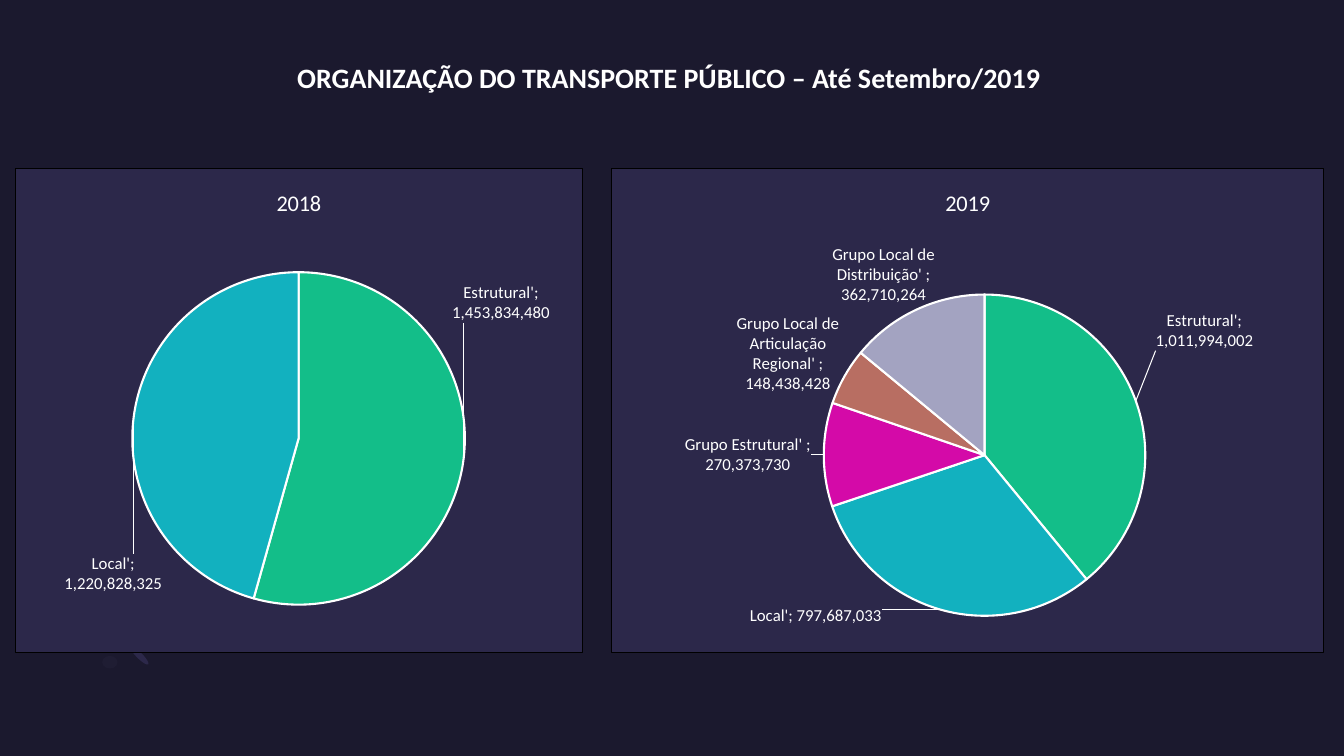
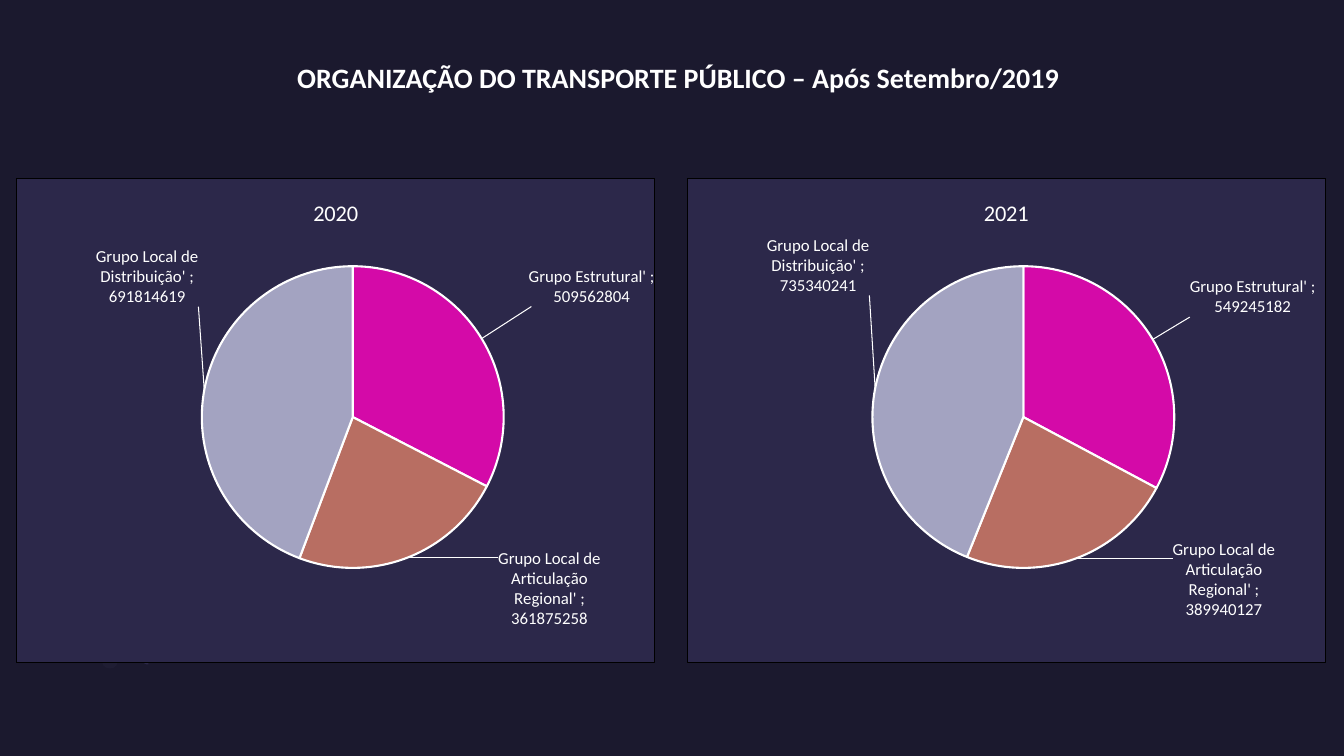
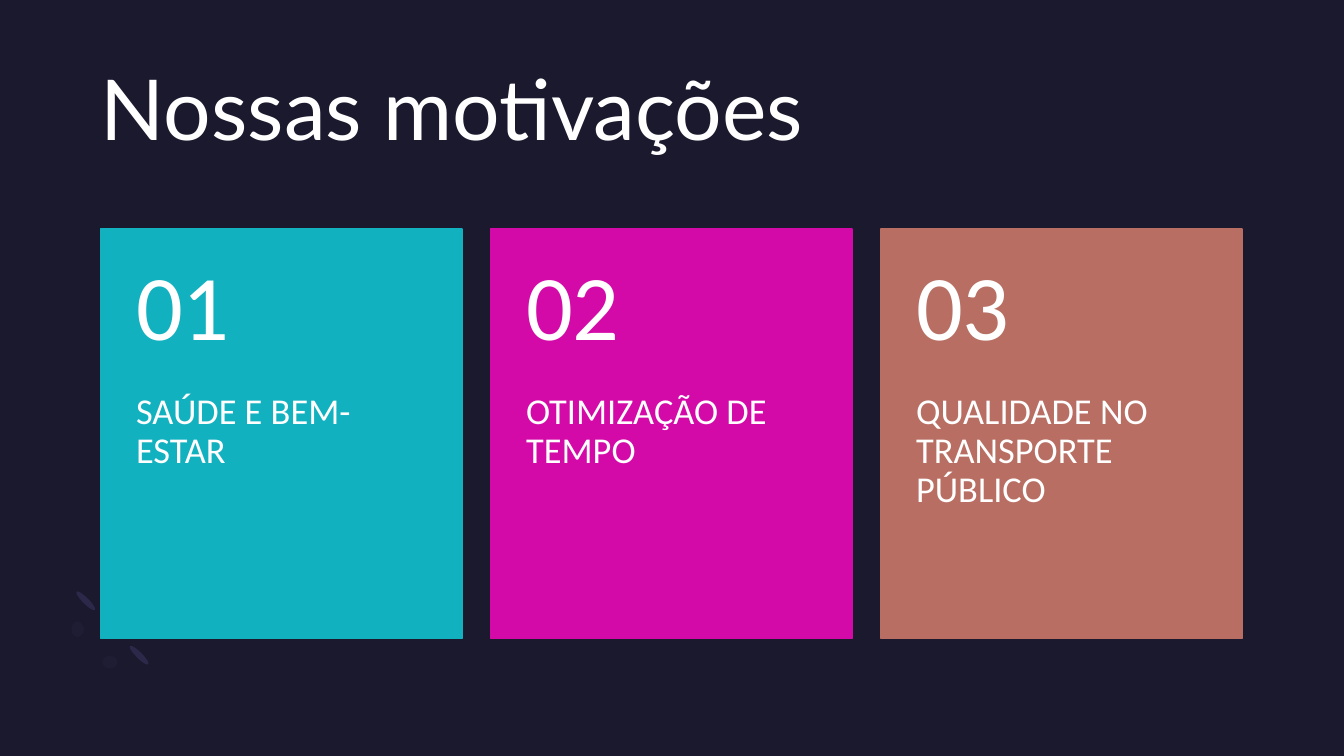
"""Builds three slides on public transport: four yearly pies and three motivation cards."""
from copy import deepcopy

from pptx import Presentation
from pptx.chart.data import CategoryChartData
from pptx.dml.color import RGBColor
from pptx.enum.chart import XL_CHART_TYPE as CT, XL_LABEL_POSITION as LP
from pptx.enum.shapes import MSO_SHAPE as MS
from pptx.enum.text import MSO_ANCHOR as MA
from pptx.oxml import parse_xml
from pptx.oxml.ns import nsdecls, qn
from pptx.util import Pt

NIGHT = RGBColor(0x1B, 0x19, 0x2E)
PANEL = RGBColor(0x2C, 0x28, 0x4A)
HAZE = RGBColor(0x1F, 0x1D, 0x33)
WHITE = RGBColor(0xFF, 0xFF, 0xFF)
GREEN = RGBColor(0x13, 0xBE, 0x89)
TEAL = RGBColor(0x12, 0xB1, 0xBF)
PINK = RGBColor(0xD4, 0x0A, 0xA8)
CLAY = RGBColor(0xB8, 0x6E, 0x62)
LILAC = RGBColor(0xA3, 0xA3, 0xC1)
BODY, DISPLAY = "Calibri", "Lato"

GROUPS = [
    ("Estrutural'", GREEN),
    ("Local'", TEAL),
    ("Grupo Estrutural' ", PINK),
    ("Grupo Local de Articulação Regional' ", CLAY),
    ("Grupo Local de Distribuição' ", LILAC),
]
PIE_SLIDES = [
    ("ORGANIZAÇÃO DO TRANSPORTE PÚBLICO – Até Setembro/2019", 549.4, "#,##0", [
        dict(year="2018", box=(10.8, 120.24, 405.36, 346.32), pie=(202.5, 193, 119),
             values=(1453834480, 1220828325, None, None, None),
             shifts={0: (-0.03, -0.37), 1: (0.06, 0.37)}),
        dict(year="2019", box=(436.32, 120.24, 509.76, 346.32), pie=(267, 205, 115),
             values=(1011994002, 797687033, 270373730, 148438428, 362710264),
             shifts={0: (0.02, -0.1), 1: (-0.08, -0.02), 2: (-0.01, 0)}),
    ]),
    ("ORGANIZAÇÃO DO TRANSPORTE PÚBLICO – Após Setembro/2019", 563, "General", [
        dict(year="2020", box=(11.52, 127.44, 456.48, 346.32), pie=(240.5, 170.5, 108),
             values=(None, None, 509562804, 361875258, 691814619),
             shifts={2: (0.07, -0.06), 3: (0.14, -0.03), 4: (0, -0.17)}),
        dict(year="2021", box=(490.5, 127.44, 456.48, 346.32), pie=(240.5, 170.5, 108),
             values=(None, None, 549245182, 389940127, 735340241),
             shifts={2: (0.05, -0.04), 3: (0.15, -0.05), 4: (0, -0.19)}),
    ]),
]
CARDS_TITLE = "Nossas motivações"
CARDS = [
    ("SAÚDE E BEM-ESTAR", TEAL),
    ("OTIMIZAÇÃO DE TEMPO", PINK),
    ("QUALIDADE NO TRANSPORTE PÚBLICO", CLAY),
]
CARD_LEFT, CARD_TOP, CARD_W, CARD_H, CARD_GAP = 72, 163.44, 258, 292.5, 20.6
NUMBER_H = 117
MARKS = [
    (97.2, 458.64, 4.32, 18.72, 135, PANEL),
    (59.04, 419.76, 4.32, 18.72, 135, PANEL),
    (51, 444, 9, 11, 0, HAZE),
    (73, 468.5, 11, 9, 0, HAZE),
]


def add_block(s, preset, box, color):
    sp = s.shapes.add_shape(preset, *map(Pt, box))
    sp.shadow.inherit = False
    sp.fill.solid()
    sp.fill.fore_color.rgb = color
    sp.line.fill.background()
    return sp


def add_text(s, box, text, size, name=BODY, bold=False, wrap=True,
             insets=(0, 0, 0, 0), anchor=MA.TOP, spacing=0.9):
    tf = s.shapes.add_textbox(*map(Pt, box)).text_frame
    tf.word_wrap = wrap
    tf.vertical_anchor = anchor
    tf.margin_left, tf.margin_top, tf.margin_right, tf.margin_bottom = map(Pt, insets)
    p = tf.paragraphs[0]
    p.text = text
    p.line_spacing = spacing
    set_font(p.font, size, name, bold)


def set_font(font, size, name=BODY, bold=False):
    font.size, font.name, font.bold = Pt(size), name, bold
    font.color.rgb = WHITE


def new_slide(prs):
    s = prs.slides.add_slide(prs.slide_layouts[6])
    for *box, angle, color in MARKS:
        add_block(s, MS.OVAL, box, color).rotation = angle
    return s


def outline(tag, fill, line, width):
    fill_xml = f'<a:solidFill><a:srgbClr val="{fill}"/></a:solidFill>' if fill else ""
    return parse_xml(
        f'<c:{tag} {nsdecls("c", "a")}>{fill_xml}<a:ln w="{Pt(width)}"><a:solidFill>'
        f'<a:srgbClr val="{line}"/></a:solidFill></a:ln></c:{tag}>')


def manual_layout(target="", **places):
    inner = "".join(f'<c:{k} val="{v:.4f}"/>' for k, v in places.items())
    return parse_xml(f'<c:layout {nsdecls("c")}><c:manualLayout>{target}{inner}'
                     '</c:manualLayout></c:layout>')


def place_pie(chart, box, pie):
    (_, _, w, h), (cx, cy, radius) = box, pie
    area = chart._chartSpace.chart.plotArea
    for old in area.findall(qn("c:layout")):
        area.remove(old)
    target = ('<c:layoutTarget val="inner"/><c:xMode val="edge"/>'
              '<c:yMode val="edge"/>')
    area.insert(0, manual_layout(target, x=(cx - radius) / w, y=(cy - radius) / h,
                                 w=2 * radius / w, h=2 * radius / h))


def label_slices(series, number_format, shifts):
    labels = series.data_labels
    labels.show_value = labels.show_category_name = True
    labels.number_format, labels.number_format_is_linked = number_format, False
    labels.position = LP.BEST_FIT
    set_font(labels.font, 12)
    root = labels._element
    leader = root.find(qn("c:showLeaderLines"))
    leader.addprevious(parse_xml(f'<c:separator {nsdecls("c")}>; </c:separator>'))
    shared = [child for child in root if child is not leader]
    lines = parse_xml(f'<c:leaderLines {nsdecls("c")}/>')
    lines.append(outline("spPr", None, WHITE, 0.75))
    leader.addnext(lines)
    for place, (idx, (x, y)) in enumerate(shifts.items()):
        label = parse_xml(f'<c:dLbl {nsdecls("c")}><c:idx val="{idx}"/></c:dLbl>')
        label.append(manual_layout(x=x, y=y))
        label.extend(deepcopy(child) for child in shared)
        root.insert(place, label)


def add_pie(s, number_format, year, box, pie, values, shifts):
    data = CategoryChartData()
    data.categories = [name for name, _ in GROUPS]
    data.add_series(year, values)
    chart = s.shapes.add_chart(CT.PIE, *map(Pt, box), data).chart
    chart.has_legend = False
    set_font(chart.font, 10)
    chart.has_title = True
    p = chart.chart_title.text_frame.paragraphs[0]
    p.text = year
    set_font(p.font, 16)
    chart.chart_title.include_in_layout = False
    chart._chartSpace.chart.addnext(outline("spPr", PANEL, "000000", 0.75))
    place_pie(chart, box, pie)
    plot = chart.plots[0]
    plot.vary_by_categories = True
    series = plot.series[0]
    for i, (_, color) in enumerate(GROUPS):
        fmt = series.points[i].format
        fmt.fill.solid()
        fmt.fill.fore_color.rgb = color
        fmt.line.color.rgb = WHITE
        fmt.line.width = Pt(1.5)
    label_slices(series, number_format, shifts)


def add_card(s, i, text, color):
    left = CARD_LEFT + i * (CARD_W + CARD_GAP)
    sp = add_block(s, MS.RECTANGLE, (left, CARD_TOP, CARD_W, CARD_H), color)
    sp.line.color.rgb = color
    sp.line.width = Pt(1)
    add_text(s, (left, CARD_TOP + NUMBER_H, CARD_W, CARD_H - NUMBER_H), text, 26,
             insets=(25.2, 0, 25.2, 25.92))
    add_text(s, (left, CARD_TOP, CARD_W, NUMBER_H), f"{i + 1:02d}", 66,
             insets=(25.2, 12.96, 25.2, 12.96), anchor=MA.MIDDLE)


def main():
    prs = Presentation()
    prs.slide_width, prs.slide_height = Pt(960), Pt(540)
    background = prs.slide_master.background.fill
    background.solid()
    background.fore_color.rgb = NIGHT
    for title, width, number_format, pies in PIE_SLIDES:
        s = new_slide(prs)
        add_text(s, (205.2, 39.6, width, 31.68), title, 20, bold=True, wrap=False,
                 insets=(7.2, 3.6, 7.2, 3.6), spacing=1)
        for pie in pies:
            add_pie(s, number_format, **pie)
    s = new_slide(prs)
    add_text(s, (72, 48.24, 815, 99.36), CARDS_TITLE, 60, DISPLAY)
    for i, (text, color) in enumerate(CARDS):
        add_card(s, i, text, color)
    prs.save("out.pptx")


if __name__ == "__main__":
    main()
